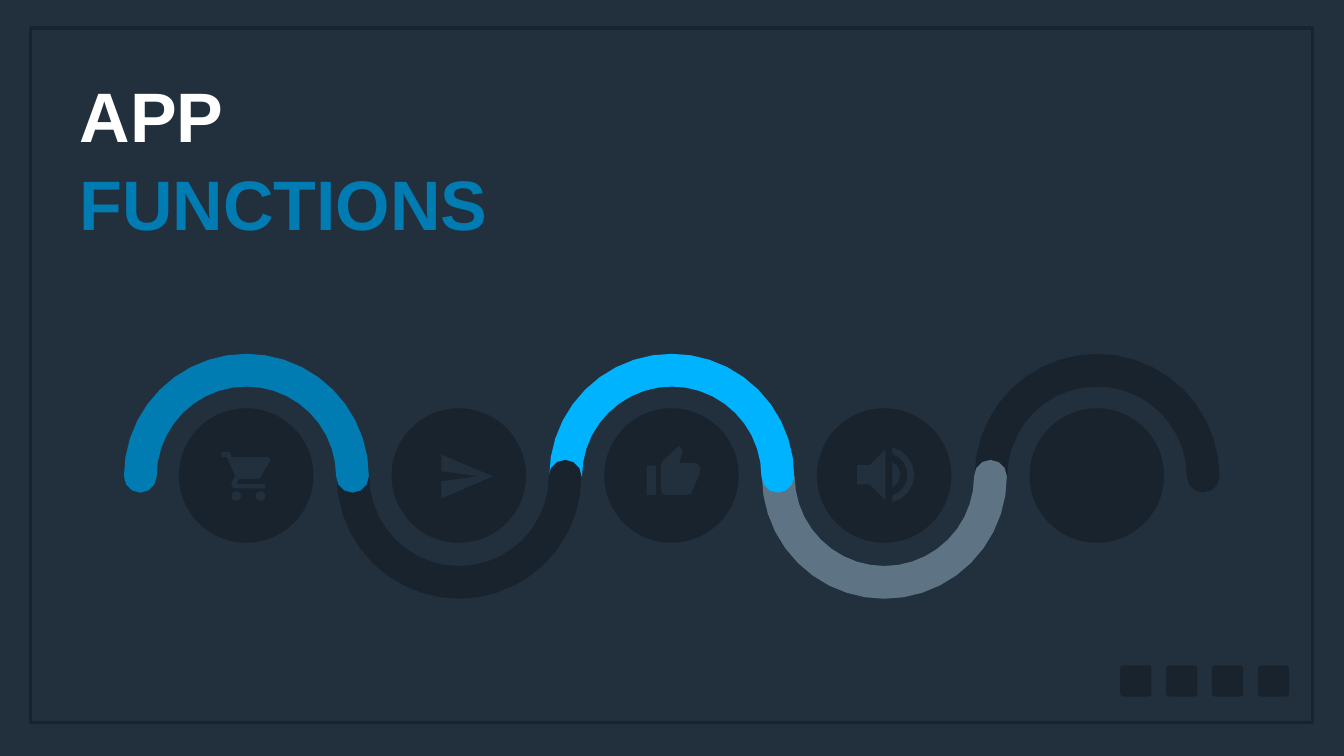
from math import cos, pi, sin

from pptx import Presentation
from pptx.dml.color import RGBColor
from pptx.enum.shapes import MSO_SHAPE
from pptx.enum.text import MSO_ANCHOR
from pptx.util import Pt

SCALE = 9144
NIGHT, DARK, BLUE, SKY, SLATE, WHITE = "22303E", "18232D", "007CB2", "00B3FF", "5E7484", "FFFFFF"


def px(value):
    return round(value * SCALE)


def color(code):
    return RGBColor.from_string(code)


def arc(x, y, radius, start, end, steps):
    angles = [start + (end - start) * step / steps for step in range(steps + 1)]
    return [(x + radius * cos(angle), y + radius * sin(angle)) for angle in angles]


def wave(x, y, turn, round_start):
    outer, inner = 243, 178
    middle, cap = (outer + inner) / 2, (outer - inner) / 2
    points = arc(x, y, outer, -turn * pi, 0, 20)
    points += arc(x + middle, y, cap, 0, turn * pi, 6)[1:-1]
    points += arc(x, y, inner, 0, -turn * pi, 20)
    if round_start:
        points += arc(x - middle, y, cap, 0, turn * pi, 6)[1:-1]
    return points


class Painter:
    """Holds the type style and the current slide, and draws each kind of element."""

    def __init__(self, page, font):
        self.page = page
        self.font = font

    def background(self, fill):
        self.page.background.fill.solid()
        self.page.background.fill.fore_color.rgb = color(fill)

    def paint(self, shape, fill):
        shape.shadow.inherit = False
        shape.fill.solid()
        shape.fill.fore_color.rgb = color(fill)
        shape.line.fill.background()

    def shape(self, kind, left, top, width, height, fill):
        shape = self.page.shapes.add_shape(kind, px(left), px(top), px(width), px(height))
        self.paint(shape, fill)
        return shape

    def frame(self, left, top, width, height, line, weight):
        shape = self.shape(MSO_SHAPE.RECTANGLE, left, top, width, height, line)
        shape.fill.background()
        shape.line.color.rgb = color(line)
        shape.line.width = Pt(weight)

    def outline(self, contours, fill):
        builder = None
        for contour in contours:
            first, *rest = [(px(x), px(y)) for x, y in contour]
            if builder is None:
                builder = self.page.shapes.build_freeform(*first)
            else:
                builder.move_to(*first)
            builder.add_line_segments(rest, close=True)
        self.paint(builder.convert_to_shape(), fill)

    def text(self, left, top, width, height, lines, size):
        box = self.page.shapes.add_textbox(px(left), px(top), px(width), px(height))
        frame = box.text_frame
        frame.word_wrap = False
        frame.vertical_anchor = MSO_ANCHOR.MIDDLE
        frame.margin_left = frame.margin_right = frame.margin_top = frame.margin_bottom = px(6)
        for index, (words, ink) in enumerate(lines):
            para = frame.add_paragraph() if index else frame.paragraphs[0]
            para.line_spacing = 1.05
            span = para.add_run()
            span.text = words
            span.font.name = self.font
            span.font.size = Pt(size)
            span.font.bold = True
            span.font.color.rgb = color(ink)


CART = [
    arc(469, 984, 9.5, 0, 2 * pi, 10),
    [(440, 897), (440, 907), (450, 907), (467, 944), (460, 956), (459, 960), (462, 967),
     (469, 969), (526, 969), (526, 960), (471, 960), (470, 958), (474, 950), (510, 950),
     (515, 949), (518, 945), (536, 914), (536, 910), (532, 907), (460, 907), (456, 897)],
    arc(517, 984, 9.5, 0, 2 * pi, 10),
]
PLANE = [[(876, 989), (978, 945), (876, 902), (876, 935), (949, 945), (876, 955)]]
THUMB = [
    [(1283, 982), (1302, 982), (1302, 924), (1283, 924)],
    [(1389, 928), (1386, 922), (1379, 919), (1348, 919), (1354, 896), (1352, 889), (1347, 885),
     (1314, 916), (1312, 924), (1312, 972), (1315, 979), (1322, 982), (1365, 982), (1370, 980),
     (1373, 976), (1388, 941)],
]
SPEAKER = [
    [(1701, 923), (1701, 961), (1726, 961), (1757, 992), (1757, 892), (1726, 923)],
    arc(1758, 942, 28, -1.1, 1.1, 6),
    arc(1758, 942, 56, -1.34, 1.34, 8) + arc(1758, 942, 43, 1.26, -1.26, 8),
]


def main():
    deck = Presentation()
    deck.slide_width, deck.slide_height = px(2667), px(1500)
    painter = Painter(deck.slides.add_slide(deck.slide_layouts[6]), "Arial")
    painter.background(NIGHT)
    painter.frame(61, 56, 2544, 1378, DARK, 5)
    for index in range(4):
        badge = painter.shape(MSO_SHAPE.ROUNDED_RECTANGLE, 2223 + 91 * index, 1320, 62, 62, DARK)
        badge.adjustments[0] = 0.1

    middle = 945
    centers = [489 + 422 * index for index in range(5)]
    waves = list(zip(centers, [BLUE, DARK, SKY, SLATE, DARK], [1, -1, 1, -1, 1]))
    for center, fill, turn in reversed(waves[1:]):
        painter.outline([wave(center, middle, turn, False)], fill)
    for center in centers:
        painter.shape(MSO_SHAPE.OVAL, center - 134, middle - 135, 267, 267, DARK)
    center, fill, turn = waves[0]
    painter.outline([wave(center, middle, turn, True)], fill)
    for icon in (CART, PLANE, THUMB, SPEAKER):
        painter.outline(icon, NIGHT)

    painter.text(152, 137, 830, 348, [("APP", WHITE), ("FUNCTIONS", BLUE)], 100)
    deck.save("out.pptx")


if __name__ == "__main__":
    main()
